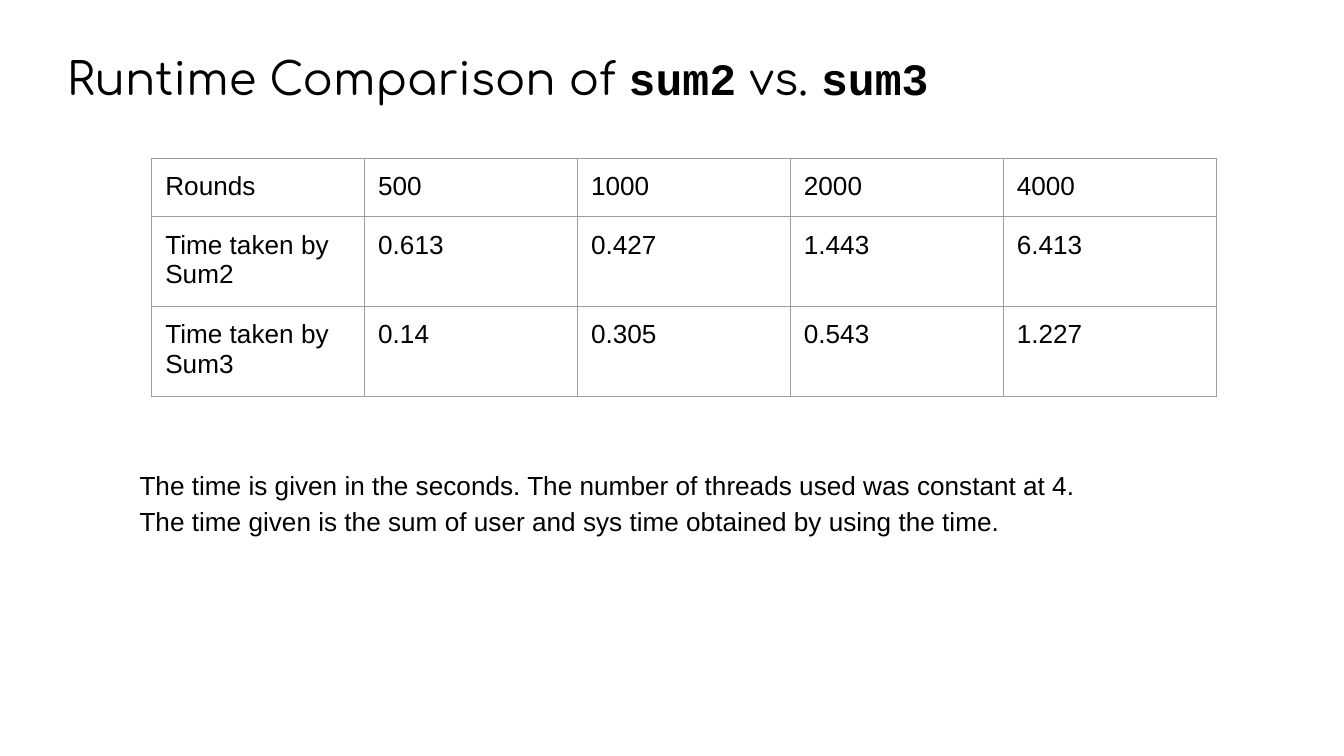
from dataclasses import dataclass

from lxml.etree import SubElement
from pptx import Presentation
from pptx.dml.color import RGBColor
from pptx.oxml.ns import qn
from pptx.util import Inches, Pt


@dataclass(frozen=True)
class Theme:
    text: str = "000000"
    border: str = "9E9E9E"
    background: str = "FFFFFF"
    title_font: str = "Comfortaa"
    code_font: str = "Courier New"
    body_font: str = "Arial"
    title_size: int = 24
    body_size: int = 14
    border_width: float = 0.75
    line_spacing: float = 1.15
    inset: float = 0.1


THEME = Theme()

TITLE = [
    ("Runtime Comparison of ", False),
    ("sum2", True),
    (" vs. ", False),
    ("sum3", True),
]
RUNTIMES = [
    ["Rounds", "500", "1000", "2000", "4000"],
    ["Time taken by Sum2", "0.613", "0.427", "1.443", "6.413"],
    ["Time taken by Sum3", "0.14", "0.305", "0.543", "1.227"],
]
NOTES = [
    "The time is given in the seconds. The number of threads used was constant at 4.",
    "The time given is the sum of user and sys time obtained by using the time.",
]
TABLE_WIDTH = 7.92
ROW_HEIGHT = 0.42


def add_run(paragraph, text, font_name=THEME.body_font, size=THEME.body_size, bold=False):
    run = paragraph.add_run()
    run.text = text
    run.font.name = font_name
    run.font.size = Pt(size)
    run.font.bold = bold
    run.font.color.rgb = RGBColor.from_string(THEME.text)


def set_insets(container):
    container.margin_left = container.margin_right = Inches(THEME.inset)
    container.margin_top = container.margin_bottom = Inches(THEME.inset)


def add_text_frame(slide, left, top, width, height):
    shape = slide.shapes.add_textbox(Inches(left), Inches(top), Inches(width), Inches(height))
    frame = shape.text_frame
    frame.word_wrap = True
    set_insets(frame)
    return frame


def add_title(slide):
    paragraph = add_text_frame(slide, 0.4, 0.22, 9.32, 4.8).paragraphs[0]
    paragraph.line_spacing = THEME.line_spacing
    for text, is_code in TITLE:
        font_name = THEME.code_font if is_code else THEME.title_font
        add_run(paragraph, text, font_name, THEME.title_size, is_code)


def set_borders(cell):
    properties = cell._tc.get_or_add_tcPr()
    for position, side in enumerate(("lnL", "lnR", "lnT", "lnB")):
        line = SubElement(properties, qn(f"a:{side}"), w=str(Pt(THEME.border_width)))
        fill = SubElement(line, qn("a:solidFill"))
        SubElement(fill, qn("a:srgbClr"), val=THEME.border)
        properties.insert(position, line)


def add_runtime_table(slide):
    row_count, column_count = len(RUNTIMES), len(RUNTIMES[0])
    shape = slide.shapes.add_table(
        row_count, column_count, Inches(1.13), Inches(1.18),
        Inches(TABLE_WIDTH), Inches(ROW_HEIGHT * row_count),
    )
    table = shape.table
    table.first_row = False
    table.horz_banding = False
    for row, values in zip(table.rows, RUNTIMES):
        row.height = Inches(ROW_HEIGHT)
        for cell, value in zip(row.cells, values):
            set_insets(cell)
            cell.fill.background()
            set_borders(cell)
            add_run(cell.text_frame.paragraphs[0], value)


def add_notes_text(slide):
    frame = add_text_frame(slide, 0.94, 3.36, 8.1, 0.98)
    for index, text in enumerate(NOTES):
        paragraph = frame.add_paragraph() if index else frame.paragraphs[0]
        paragraph.line_spacing = THEME.line_spacing
        add_run(paragraph, text)


def main():
    presentation = Presentation()
    presentation.slide_width = Inches(10)
    presentation.slide_height = presentation.slide_width * 9 // 16
    slide = presentation.slides.add_slide(presentation.slide_layouts[6])
    slide.background.fill.solid()
    slide.background.fill.fore_color.rgb = RGBColor.from_string(THEME.background)
    add_title(slide)
    add_runtime_table(slide)
    add_notes_text(slide)
    presentation.save("out.pptx")


if __name__ == "__main__":
    main()
